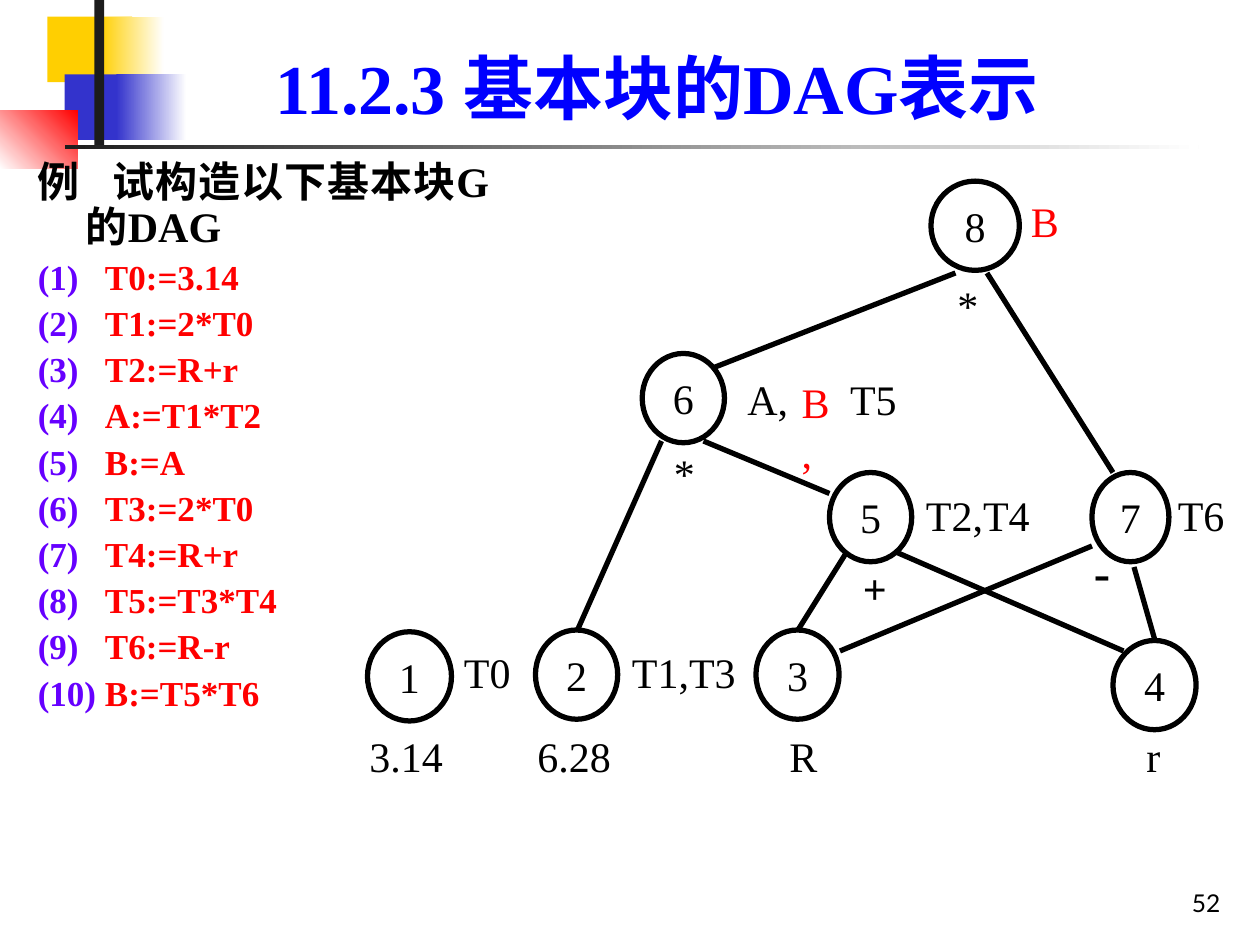
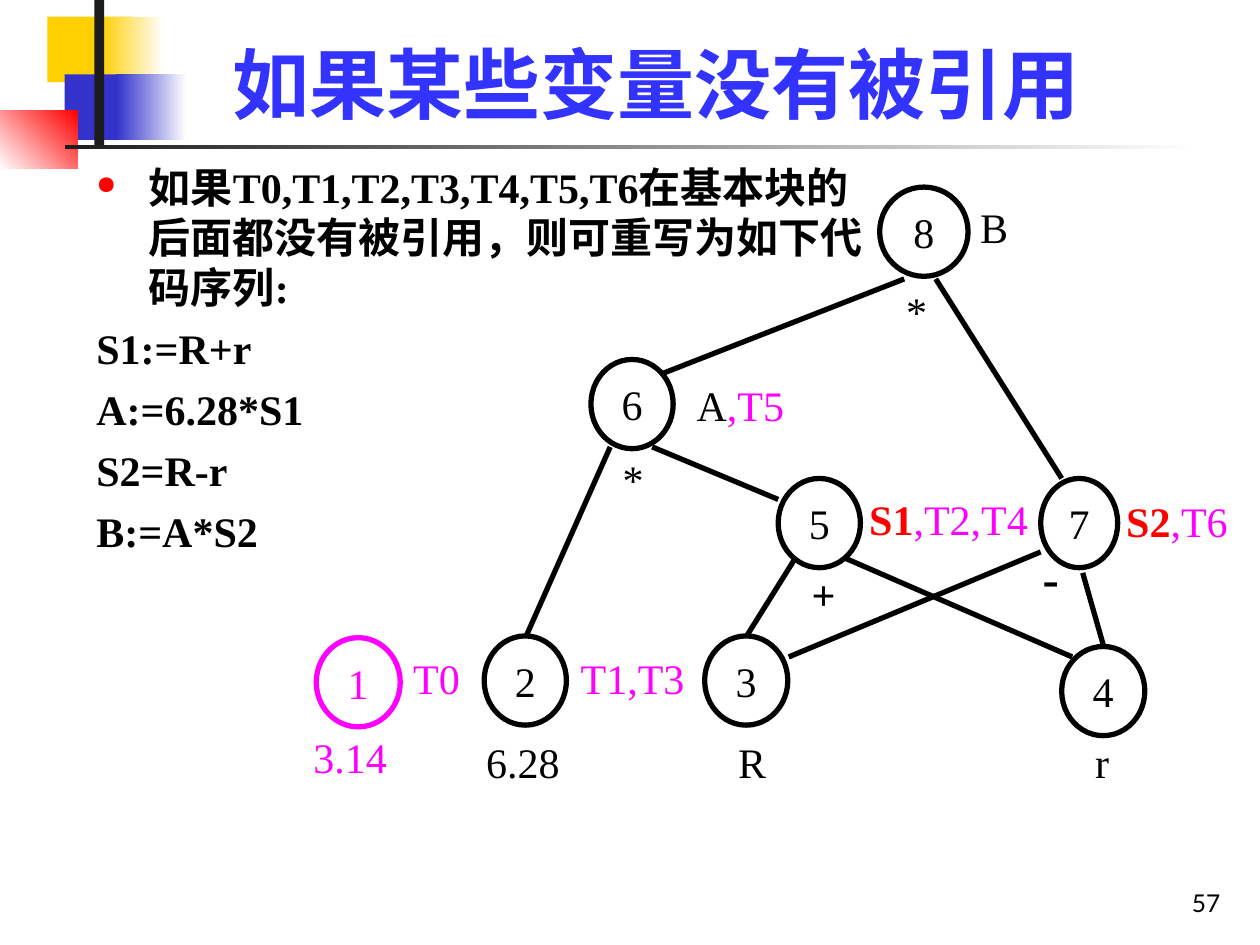
import lxml.etree
import pptx
import pptx.dml.color
import pptx.enum.shapes
import pptx.enum.text
import pptx.oxml.ns
import pptx.util

Pt = pptx.util.Pt
RGBColor = pptx.dml.color.RGBColor
ALIGN = pptx.enum.text.PP_ALIGN
ANCHOR = pptx.enum.text.MSO_ANCHOR
SHAPE = pptx.enum.shapes.MSO_SHAPE
qn = pptx.oxml.ns.qn

BLACK = RGBColor(0x00, 0x00, 0x00)
WHITE = RGBColor(0xFF, 0xFF, 0xFF)
RED = RGBColor(0xFF, 0x00, 0x00)
MAGENTA = RGBColor(0xFF, 0x00, 0xFF)
YELLOW = RGBColor(0xFF, 0xCF, 0x01)
INDIGO = RGBColor(0x33, 0x33, 0xCC)
CHARCOAL = RGBColor(0x1C, 0x1C, 0x1C)
BLUE = RGBColor(0x00, 0x00, 0xFF)
SOFT_BLUE = RGBColor(0x33, 0x33, 0xFF)
VIOLET = RGBColor(0x66, 0x00, 0xFF)

SERIF = "Times New Roman"
NODE_HEIGHT = 51
LINE_WIDTH = 3

BANDS = [
    (27, 9.5, 48.5, 37.5, YELLOW, None, 0),
    (57.5, 9.5, 36, 37.5, YELLOW, WHITE, 0),
    (37, 42.5, 46, 37.5, INDIGO, None, 0),
    (66.5, 42.5, 40, 37.5, INDIGO, WHITE, 0),
    (0, 63, 44.5, 33.5, WHITE, RED, 45),
    (54, 0, 5.5, 83, CHARCOAL, None, 0),
    (37, 83, 648, 2.2, CHARCOAL, WHITE, 0),
]

NODES = [
    ("1", 210, 361, 48),
    ("2", 306, 360, 47),
    ("3", 432, 360, 47.5),
    ("4", 636, 366, 47.5),
    ("5", 474, 270, 47),
    ("6", 367, 202, 47),
    ("7", 624, 270, 44),
    ("8", 532, 103.5, 50.5),
]

EDGES = [
    (456, 360, 486, 312),
    (642, 372, 504, 312),
    (378, 252, 330, 360),
    (402, 252, 474, 282),
    (624, 312, 480, 372),
    (648, 324, 660, 366),
    (546, 156, 408, 210),
    (564, 156, 636, 270),
]

OPERATORS = [
    ("*", 378, 252, 36, 24, False),
    ("*", 540, 156, 36, 24, False),
    ("+", 486, 318, 30, 24, True),
    ("-", 618, 306, 30, 28, True),
]

LEAF_VALUES = [("6.28", 300, 414, 66), ("R", 444, 414, 30), ("r", 648, 414, 24)]

BLOCK_CODE = [
    "T0:=3.14", "T1:=2*T0", "T2:=R+r", "A:=T1*T2", "B:=A",
    "T3:=2*T0", "T4:=R+r", "T5:=T3*T4", "T6:=R-r", "B:=T5*T6",
]
REWRITTEN_CODE = ["S1:=R+r", "A:=6.28*S1", "S2=R-r", "B:=A*S2"]


def add_run(paragraph, text, size=24, color=BLACK, bold=False, font=SERIF):
    run = paragraph.add_run()
    run.text = text
    run.font.size = Pt(size)
    run.font.color.rgb = color
    run.font.bold = bold
    run.font.name = font
    return run


def add_box(slide, left, top, width, height, anchor=ANCHOR.TOP):
    text_frame = slide.shapes.add_textbox(Pt(left), Pt(top), Pt(width), Pt(height)).text_frame
    text_frame.word_wrap = True
    text_frame.vertical_anchor = anchor
    return text_frame


def add_label(slide, left, top, width, *runs):
    paragraph = add_box(slide, left, top, width, 36).paragraphs[0]
    for text, *style in runs:
        add_run(paragraph, text, *style)
    return paragraph


def append_property(paragraph, tag, **attributes):
    properties = paragraph._p.get_or_add_pPr()
    element = lxml.etree.SubElement(properties, qn(tag))
    for name, value in attributes.items():
        element.set(name, value)
    return element


def set_hanging(paragraph, indent):
    properties = paragraph._p.get_or_add_pPr()
    properties.set("marL", str(Pt(indent)))
    properties.set("indent", str(-Pt(indent)))


def add_tab_stop(paragraph, position):
    stops = append_property(paragraph, "a:tabLst")
    stop = lxml.etree.SubElement(stops, qn("a:tab"))
    stop.set("pos", str(Pt(position)))
    stop.set("algn", "l")


def add_band(slide, left, top, width, height, color, end_color, angle):
    band = slide.shapes.add_shape(SHAPE.RECTANGLE, Pt(left), Pt(top), Pt(width), Pt(height))
    band.shadow.inherit = False
    band.line.fill.background()
    if end_color is None:
        band.fill.solid()
        band.fill.fore_color.rgb = color
        return
    band.fill.gradient()
    band.fill.gradient_angle = angle
    for stop, stop_color in zip(band.fill.gradient_stops, (color, end_color)):
        stop.color.rgb = stop_color


def add_base_slide(presentation, title, title_size, title_color, number):
    slide = presentation.slides.add_slide(presentation.slide_layouts[6])
    for band in BANDS:
        add_band(slide, *band)
    paragraph = add_box(slide, 554.5, 492, 150, 36, ANCHOR.BOTTOM).paragraphs[0]
    paragraph.alignment = ALIGN.RIGHT
    add_run(paragraph, number, 14, font="Lato")
    paragraph = add_box(slide, 90.5, 16.5, 569.5, 60.5, ANCHOR.BOTTOM).paragraphs[0]
    paragraph.alignment = ALIGN.CENTER
    add_run(paragraph, title, title_size, title_color, True)
    return slide


def add_node(slide, name, left, top, width, color):
    node = slide.shapes.add_shape(SHAPE.OVAL, Pt(left), Pt(top), Pt(width), Pt(NODE_HEIGHT))
    node.shadow.inherit = False
    node.fill.solid()
    node.fill.fore_color.rgb = WHITE
    node.line.color.rgb = color
    node.line.width = Pt(LINE_WIDTH)
    node.text_frame.vertical_anchor = ANCHOR.MIDDLE
    paragraph = node.text_frame.paragraphs[0]
    paragraph.alignment = ALIGN.CENTER
    add_run(paragraph, name, 24, color)


def add_edge(slide, *ends):
    edge = slide.shapes.add_connector(
        pptx.enum.shapes.MSO_CONNECTOR.STRAIGHT, *[Pt(end) for end in ends])
    edge.line.color.rgb = BLACK
    edge.line.width = Pt(LINE_WIDTH)
    lxml.etree.SubElement(edge._element.spPr, qn("a:effectLst"))


def add_dag(slide, shift_x=0, shift_y=0, first_node_color=BLACK):
    for x1, y1, x2, y2 in EDGES:
        add_edge(slide, x1 + shift_x, y1 + shift_y, x2 + shift_x, y2 + shift_y)
    for name, left, top, width in NODES:
        color = first_node_color if name == "1" else BLACK
        add_node(slide, name, left + shift_x, top + shift_y, width, color)
    for text, left, top, width, size, bold in OPERATORS:
        add_label(slide, left + shift_x, top + shift_y, width, (text, size, BLACK, bold))
    for text, left, top, width in LEAF_VALUES:
        add_label(slide, left + shift_x, top + shift_y, width, (text,))


def add_block_listing(slide):
    text_frame = add_box(slide, 14.5, 88.5, 272, 420)
    heading = text_frame.paragraphs[0]
    heading.alignment = ALIGN.JUSTIFY
    heading.line_spacing = 0.9
    set_hanging(heading, 27.5)
    add_run(heading, "例", bold=True)
    gap = add_run(heading, " ", bold=True)
    gap.font._element.set("spc", "1200")
    add_run(heading, "试构造以下基本块G的DAG", bold=True)
    for number, code in enumerate(BLOCK_CODE, 1):
        paragraph = text_frame.add_paragraph()
        paragraph.line_spacing = 0.9
        paragraph.space_before = Pt(4.8)
        set_hanging(paragraph, 38.4)
        add_run(paragraph, f"({number})\t", 20, VIOLET, True)
        add_run(paragraph, code, 20, RED, True)


def add_rewritten_listing(slide):
    text_frame = add_box(slide, 48, 88.5, 465, 420)
    statement = text_frame.paragraphs[0]
    set_hanging(statement, 30)
    bullet_color = append_property(statement, "a:buClr")
    lxml.etree.SubElement(bullet_color, qn("a:srgbClr")).set("val", str(RED))
    append_property(statement, "a:buSzPct", val="60000")
    append_property(statement, "a:buChar", char="●")
    add_run(statement, "如果T0,T1,T2,T3,T4,T5,T6在基本块的后面都没有被引用，则可重写为如下代码序列:",
            bold=True)
    for code in REWRITTEN_CODE:
        paragraph = text_frame.add_paragraph()
        paragraph.space_before = Pt(6)
        set_hanging(paragraph, 30)
        add_run(paragraph, code, bold=True)


def build_dag_slide(presentation):
    slide = add_base_slide(presentation, "11.2.3 基本块的DAG表示", 40, BLUE, "52")
    add_block_listing(slide)
    add_dag(slide)
    add_label(slide, 204, 414, 66, ("3.14",))
    add_label(slide, 258, 366, 48, ("T0",))
    add_label(slide, 354, 366, 84, ("T1,T3",))
    add_label(slide, 522, 276, 90, ("T2,T4",))
    add_label(slide, 666, 276, 42, ("T6",))
    product = add_label(slide, 420, 210, 144)
    add_tab_stop(product, 58.7)
    add_run(product, "A,\tT5")
    add_label(slide, 582, 108, 42, ("B", 24, RED))
    add_label(slide, 451, 211.5, 41.5, ("B ,", 24, RED))


def build_unused_variables_slide(presentation):
    slide = add_base_slide(presentation, "如果某些变量没有被引用", 44, SOFT_BLUE, "57")
    add_rewritten_listing(slide)
    add_dag(slide, -29.3, 3.4, MAGENTA)
    add_label(slide, 172, 414.7, 66, ("3.14", 24, MAGENTA))
    add_label(slide, 229, 369.4, 48, ("T0", 24, MAGENTA))
    add_label(slide, 324.7, 369.4, 84, ("T1,T3", 24, MAGENTA))
    add_label(slide, 489.6, 278.6, 110, ("S1", 24, RED, True), (",T2,T4", 24, MAGENTA))
    add_label(slide, 636.5, 279.4, 83.5, ("S2", 24, RED, True), (",T6", 24, MAGENTA))
    add_label(slide, 391, 213.2, 132, ("A",), (",T5", 24, MAGENTA))
    add_label(slide, 553, 111.5, 42, ("B",))


def main():
    presentation = pptx.Presentation()
    presentation.slide_width = Pt(720)
    presentation.slide_height = Pt(540)
    build_dag_slide(presentation)
    build_unused_variables_slide(presentation)
    presentation.save("out.pptx")


if __name__ == "__main__":
    main()
